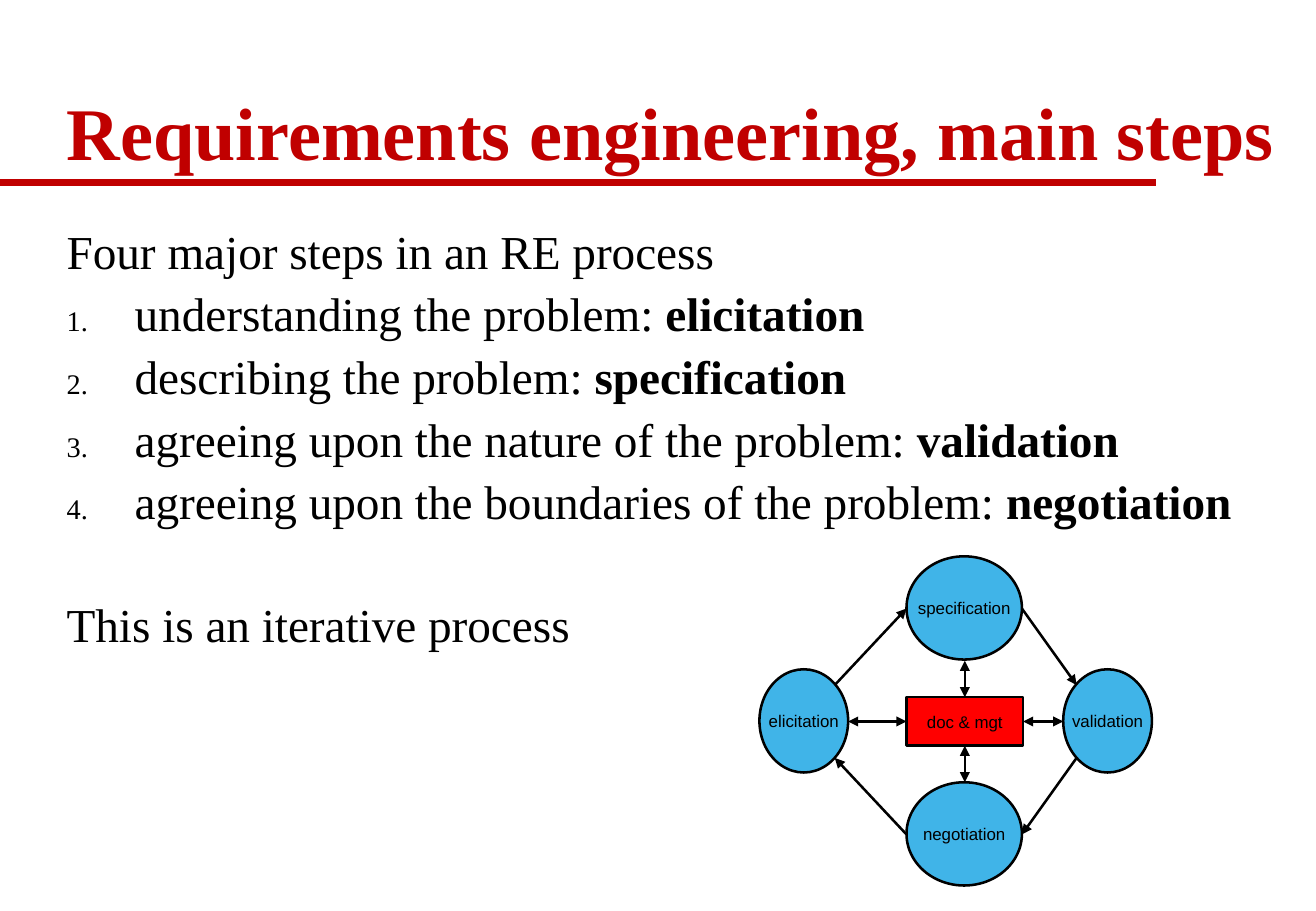
from pptx import Presentation
from pptx.dml.color import RGBColor as Rgb
from pptx.enum.shapes import MSO_CONNECTOR as Link, MSO_SHAPE as Kind
from pptx.enum.text import MSO_ANCHOR as Anchor, MSO_AUTO_SIZE as Fit, PP_ALIGN as Align
from pptx.oxml.ns import qn
from pptx.util import Pt
from lxml.etree import SubElement as Sub

PX = 9144
HUES = {"red": "C00000", "ink": "000000", "blue": "40B4E8", "core": "FF0000"}
SERIF, SANS = "Times New Roman", "Arial"

STEPS = [
    ("understanding the problem: ", "elicitation"),
    ("describing the problem: ", "specification"),
    ("agreeing upon the nature of the problem: ", "validation"),
    ("agreeing upon the boundaries of the problem: ", "negotiation"),
]
NODES = [
    ("elicitation", 625, 551, 73, 85),
    ("negotiation", 746, 644, 95, 85),
    ("specification", 746, 458, 95, 85),
    ("validation", 875, 551, 73, 85),
]
CYCLE = [
    ((687, 564), (746, 501)),
    ((841, 501), (886, 564)),
    ((746, 687), (687, 624)),
    ((886, 624), (841, 687)),
]
SPOKES = [(794, 544), (698, 594), (794, 644), (875, 594)]


def px(*nums):
    return [num * PX for num in nums]


def hue(name):
    return Rgb.from_string(HUES[name])


def style(para, face, size, tone, bold=False):
    for run in para.runs:
        font = run.font
        font.name, font.size, font.bold = face, Pt(size), bold
        font.color.rgb = hue(tone)


def add_title(slide, text):
    title = slide.shapes.title
    title.left, title.top, title.width, title.height = px(45, 29, 1046, 121)
    frame = title.text_frame
    frame.text = text
    frame.auto_size = Fit.NONE
    frame.vertical_anchor = Anchor.BOTTOM
    para = frame.paragraphs[0]
    para.alignment = Align.LEFT
    para.line_spacing = 0.9
    style(para, SERIF, 44, "red", True)


def number(para):
    props = para._p.get_or_add_pPr()
    props.set("marL", str(56 * PX))
    props.set("indent", str(-56 * PX))
    tint = Sub(props, qn("a:buClr"))
    Sub(tint, qn("a:srgbClr"), val=HUES["ink"])
    Sub(props, qn("a:buSzPct"), val="60000")
    Sub(props, qn("a:buFont"), typeface=SERIF)
    Sub(props, qn("a:buAutoNum"), type="arabicPeriod")


def add_line(frame, text, term="", gap=6.9):
    para = frame.add_paragraph() if frame.text else frame.paragraphs[0]
    para.text = text
    para.line_spacing = 0.9
    para.space_before = Pt(gap)
    if term:
        para.add_run().text = term
        number(para)
    style(para, SERIF, 28, "ink")
    if term:
        para.runs[1].font.bold = True


def add_body(slide):
    frame = slide.shapes.add_textbox(*px(45, 183, 1013, 542)).text_frame
    frame.word_wrap = True
    add_line(frame, "Four major steps in an RE process")
    for text, term in STEPS:
        add_line(frame, text, term)
    add_line(frame, "This is an iterative process", gap=42.8)


def add_node(slide, kind, fill, text, *box):
    node = slide.shapes.add_shape(kind, *px(*box))
    node.shadow.inherit = False
    node.fill.solid()
    node.fill.fore_color.rgb = hue(fill)
    node.line.color.rgb = hue("ink")
    node.line.width = Pt(1.5)
    frame = node.text_frame
    frame.text = text
    frame.word_wrap = False
    frame.vertical_anchor = Anchor.MIDDLE
    para = frame.paragraphs[0]
    para.alignment = Align.CENTER
    style(para, SANS, 10, "ink")
    return node


def add_link(slide, start, end, tone="ink", width=1.5, tips=()):
    link = slide.shapes.add_connector(Link.STRAIGHT, *px(*start, *end))
    link.line.color.rgb = hue(tone)
    link.line.width = Pt(width)
    props = link._element.spPr
    for tip in tips:
        Sub(props.find(qn("a:ln")), qn(tip), type="triangle")
    Sub(props, qn("a:effectLst"))
    return link


def add_cycle(slide):
    for node in NODES:
        add_node(slide, Kind.OVAL, "blue", *node)
    core = add_node(slide, Kind.RECTANGLE, "core", "doc & mgt", 746, 574, 96, 40)
    for start, end in CYCLE:
        add_link(slide, start, end, tips=["a:tailEnd"])
    for side, end in enumerate(SPOKES):
        link = add_link(slide, (794, 594), end, tips=["a:headEnd", "a:tailEnd"])
        link.begin_connect(core, side)


def main():
    deck = Presentation()
    deck.slide_width, deck.slide_height = px(1083, 750)
    slide = deck.slides.add_slide(deck.slide_layouts[5])
    add_link(slide, (0, 150), (951, 150), "red", 4)
    add_title(slide, "Requirements engineering, main steps")
    add_body(slide)
    add_cycle(slide)
    deck.save("out.pptx")


if __name__ == "__main__":
    main()
